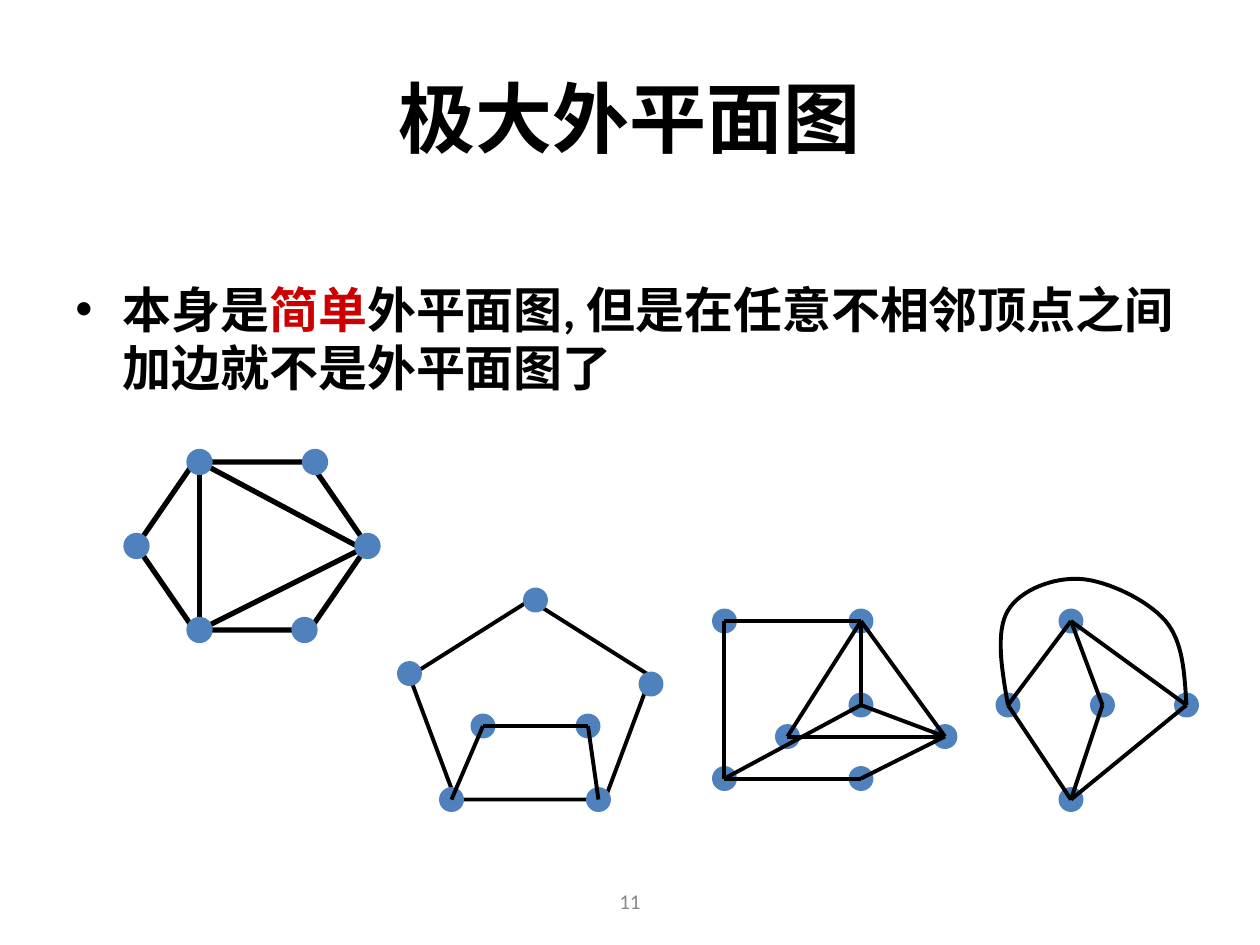
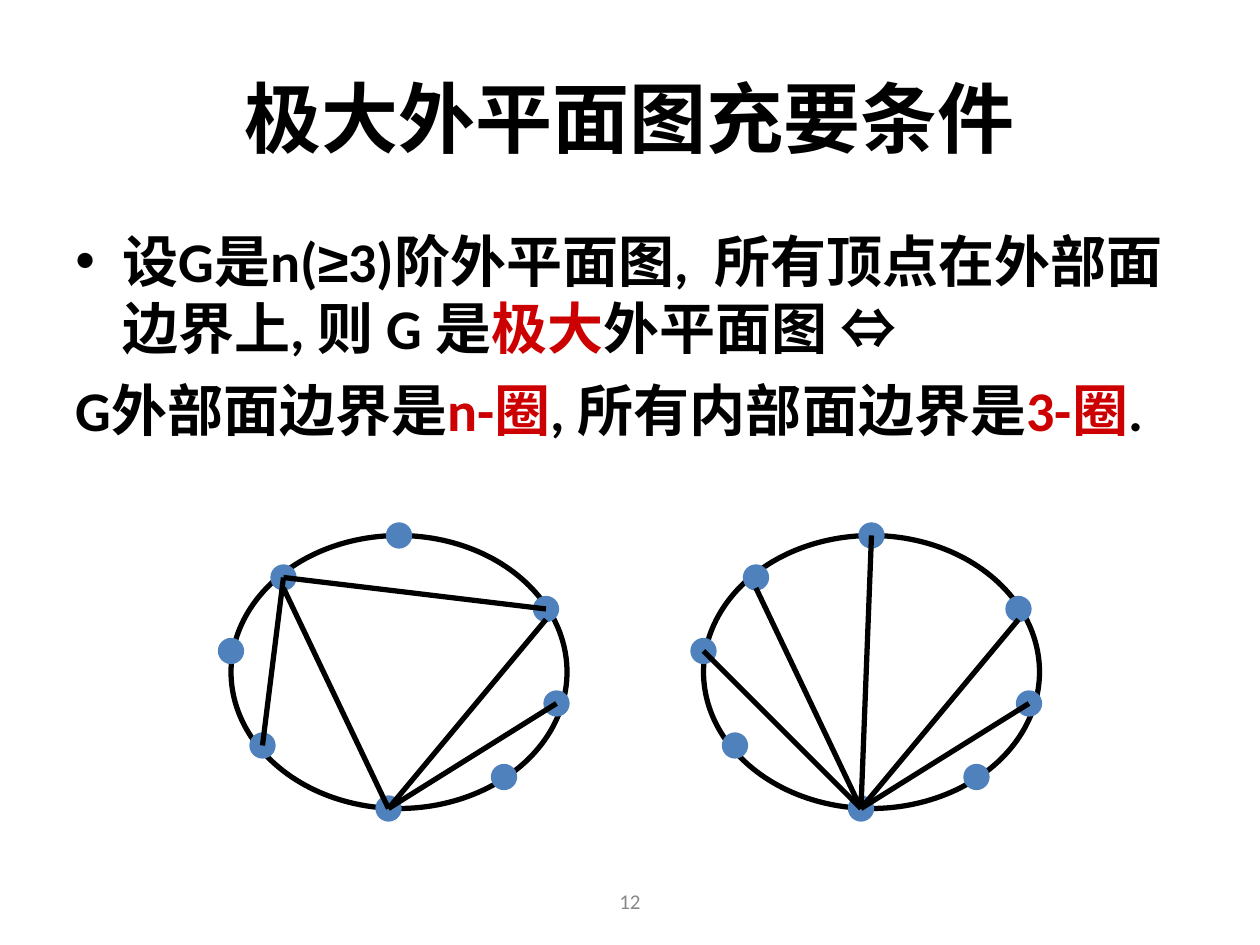
from lxml import etree
from pptx import Presentation
from pptx import util as u
from pptx.dml import color as c
from pptx.enum import shapes, text
from pptx.oxml import ns

# Shared look
BLACK, RED, BLUE, GREY = "000000", "CC0000", "4F81BD", "898989"
THICK, MEDIUM = 3, 2.25
TITLE = {"size": u.Pt(44), "bold": True, "name": "Calibri"}
FOOTER = {"size": u.Pt(12), "name": "Calibri"}
STEP = 25.4 / 120  # the page is 120 by 90 steps, in cm
DROP = 0.15        # small downward shift of the three lower graphs
SHAPE = shapes.MSO_SHAPE
CENTER = {"alignment": text.PP_ALIGN.CENTER}


def grid(steps):
    return u.Cm(steps * STEP)


def rgb(value):
    return c.RGBColor.from_string(value)


def set_all(target, values):
    for name, value in values.items():
        setattr(target, name, value)


# Text
def add_box(page, area, anchor):
    frame = page.shapes.add_textbox(*map(grid, area)).text_frame
    set_all(frame, {"word_wrap": True, "vertical_anchor": anchor})
    return frame


def add_span(para, words, style, color=BLACK):
    span = para.add_run()
    span.text = words
    set_all(span.font, style)
    span.font.color.rgb = rgb(color)


def add_centered(page, area, words, style, color):
    frame = add_box(page, area, text.MSO_ANCHOR.MIDDLE)
    para = frame.paragraphs[0]
    set_all(para, CENTER)
    add_span(para, words, style, color)


def add_hanging_indent(para, bullet):
    props = para._p.get_or_add_pPr()
    indent = u.Cm(0.95)
    props.set("marL", str(indent))
    props.set("indent", str(-indent))
    if not bullet:
        etree.SubElement(props, ns.qn("a:buNone"))
        return
    bullet_color = etree.SubElement(props, ns.qn("a:buClr"))
    etree.SubElement(bullet_color, ns.qn("a:srgbClr")).set("val", BLACK)
    etree.SubElement(props, ns.qn("a:buFont")).set("typeface", "Arial")
    etree.SubElement(props, ns.qn("a:buChar")).set("char", "•")


def add_body(page, area, size, paragraphs):
    """Each paragraph is a list of (words, color, font); the first has a bullet."""
    frame = add_box(page, area, text.MSO_ANCHOR.TOP)
    for index, spans in enumerate(paragraphs):
        para = frame.add_paragraph() if index else frame.paragraphs[0]
        add_hanging_indent(para, bullet=index == 0)
        if index:
            para.space_before = u.Pt(8)
        for words, color, font in spans:
            style = {"size": u.Pt(size), "bold": True, "name": font}
            add_span(para, words, style, color)


# Graph parts
def style_outline(shape, color, width):
    shape.shadow.inherit = False
    shape.line.color.rgb = rgb(color)
    shape.line.width = u.Pt(width)


def add_outline(page, kind, area, width):
    shape = page.shapes.add_shape(kind, *map(grid, area))
    shape.fill.background()
    style_outline(shape, BLACK, width)
    return shape


def add_nodes(page, centers, width, right=0, down=0):
    for x, y in centers:
        area = (x + right - 1, y + down - 1, 2, 2)
        node = page.shapes.add_shape(SHAPE.OVAL, *map(grid, area))
        node.fill.solid()
        node.fill.fore_color.rgb = rgb(BLUE)
        style_outline(node, BLUE, width)


def add_edges(page, edges, width, right=0, down=0):
    for (x1, y1), (x2, y2) in edges:
        ends = (x1 + right, y1 + down, x2 + right, y2 + down)
        edge = page.shapes.add_connector(shapes.MSO_CONNECTOR.STRAIGHT, *map(grid, ends))
        edge.line.color.rgb = rgb(BLACK)
        edge.line.width = u.Pt(width)
        etree.SubElement(edge._element.spPr, ns.qn("a:effectLst"))


def add_curve(page, controls, width, down=0, pieces=16):
    """Draw joined cubic curves; neighbours share an end point."""
    points = []
    for start in range(0, len(controls) - 1, 3):
        corners = controls[start:start + 4]
        for piece in range(1, pieces + 1):
            t = piece / pieces
            weights = ((1 - t) ** 3, 3 * t * (1 - t) ** 2, 3 * t * t * (1 - t), t ** 3)
            x = sum(w * corner[0] for w, corner in zip(weights, corners))
            y = sum(w * corner[1] for w, corner in zip(weights, corners))
            points.append((grid(x), grid(y + down)))
    first_x, first_y = controls[0]
    builder = page.shapes.build_freeform(grid(first_x), grid(first_y + down))
    builder.add_line_segments(points, close=False)
    curve = builder.convert_to_shape()
    curve.fill.background()
    style_outline(curve, BLACK, width)


# The graphs of the first page
def draw_hexagon(page):
    low, high, right = (19, 60), (19, 44), (35, 52)
    add_outline(page, SHAPE.HEXAGON, (13, 44, 22, 16), THICK).adjustments[0] = 0.344
    add_edges(page, [(high, low), (low, right), (high, (34, 52))], THICK)
    add_nodes(page, [right, (29, 60), low, (13, 52), high, (30, 44)], THICK)


def draw_pentagon(page):
    path = [(43, 76), (46, 69), (56, 69), (57, 76)]
    add_outline(page, SHAPE.REGULAR_PENTAGON, (39, 57 + DROP, 23, 19), MEDIUM)
    add_nodes(page, path + [(62, 65), (39, 64), (51, 57)], MEDIUM, down=DROP)
    add_edges(page, zip(path, path[1:]), MEDIUM, down=DROP)


def draw_square_graph(page):
    top_left, top, low_left, low = (69, 59), (82, 59), (69, 74), (82, 74)
    middle, inner, right = (82, 67), (75, 70), (90, 70)
    nodes = [low, low_left, middle, inner, top, top_left, right]
    edges = [(low_left, middle), (inner, top), (low, low_left), (low_left, top_left),
             (top_left, top), (top, middle), (middle, right), (low, right),
             (inner, right), (right, top)]
    add_nodes(page, nodes, MEDIUM, down=DROP)
    add_edges(page, edges, MEDIUM, down=DROP)


def draw_kite(page):
    top, bottom = (102, 59), (102, 76)
    sides = [(96, 67), (105, 67), (113, 67)]
    add_nodes(page, sides + [top, bottom], MEDIUM, down=DROP)
    add_edges(page, [(tip, side) for tip in (top, bottom) for side in sides],
              MEDIUM, down=DROP)
    arc = [sides[0], (95.4, 63.6), (94.8, 60), (96, 58),
           (97.2, 56), (100.4, 54.8), (103, 55),
           (105.5, 55.2), (109.3, 57), (111, 59),
           (112.7, 61), (112.8, 64), sides[-1]]
    add_curve(page, arc, MEDIUM, down=DROP)


# The round graphs of the second page
BASE, TOP, UPPER_LEFT, LEFT, LOWER_LEFT = (37, 77), (38, 51), (27, 55), (22, 62), (25, 71)
UPPER_RIGHT, RIGHT, LOWER_RIGHT = (52, 58), (53, 67), (48, 74)
RING = [BASE, TOP, UPPER_LEFT, LOWER_LEFT, RIGHT, UPPER_RIGHT, LEFT, LOWER_RIGHT]
SHARED_CHORDS = [(BASE, (52, 59)), ((27, 56), BASE), (BASE, RIGHT)]


def draw_round_graph(page, right, chords):
    add_outline(page, SHAPE.OVAL, (22 + right, 51, 32, 26), THICK)
    add_nodes(page, RING, THICK, right)
    add_edges(page, SHARED_CHORDS + chords, THICK, right)


def add_page(deck, number, title):
    page = deck.slides.add_slide(deck.slide_layouts[6])
    add_centered(page, (41, 83.4, 38, 4.8), str(number), FOOTER, GREY)
    add_centered(page, (6, 3.6, 108, 15), title, TITLE, BLACK)
    return page


def main():
    deck = Presentation()
    deck.slide_width, deck.slide_height = grid(120), grid(90)

    # Definition and examples
    page = add_page(deck, 11, "极大外平面图")
    add_body(page, (6, 26, 108, 30.2), 28, [[
        ("本身是", BLACK, "Calibri"),
        ("简单", RED, "Calibri"),
        ("外平面图, 但是在任意不相邻顶点之间加边就不是外平面图了", BLACK, "Calibri"),
    ]])
    for draw in (draw_hexagon, draw_pentagon, draw_square_graph, draw_kite):
        draw(page)

    # Necessary and sufficient condition
    page = add_page(deck, 12, "极大外平面图充要条件")
    add_body(page, (6, 21, 108, 59.4), 32, [
        [("设G是n(", BLACK, "Calibri"),
         ("≥", BLACK, "Arial"),
         ("3)阶外平面图,  所有顶点在外部面边界上, 则 G 是", BLACK, "Calibri"),
         ("极大", RED, "Calibri"),
         ("外平面图 ", BLACK, "Calibri"),
         ("⇔", BLACK, "Arial")],
        [("G外部面边界是", BLACK, "Calibri"),
         ("n-圈", RED, "Calibri"),
         (", 所有内部面边界是", BLACK, "Calibri"),
         ("3-圈", RED, "Calibri"),
         (".", BLACK, "Calibri")],
    ])
    draw_round_graph(page, 0, [(UPPER_LEFT, UPPER_RIGHT), (LOWER_LEFT, UPPER_LEFT)])
    draw_round_graph(page, 45, [(TOP, BASE), (LEFT, BASE)])

    deck.save("out.pptx")


if __name__ == "__main__":
    main()
